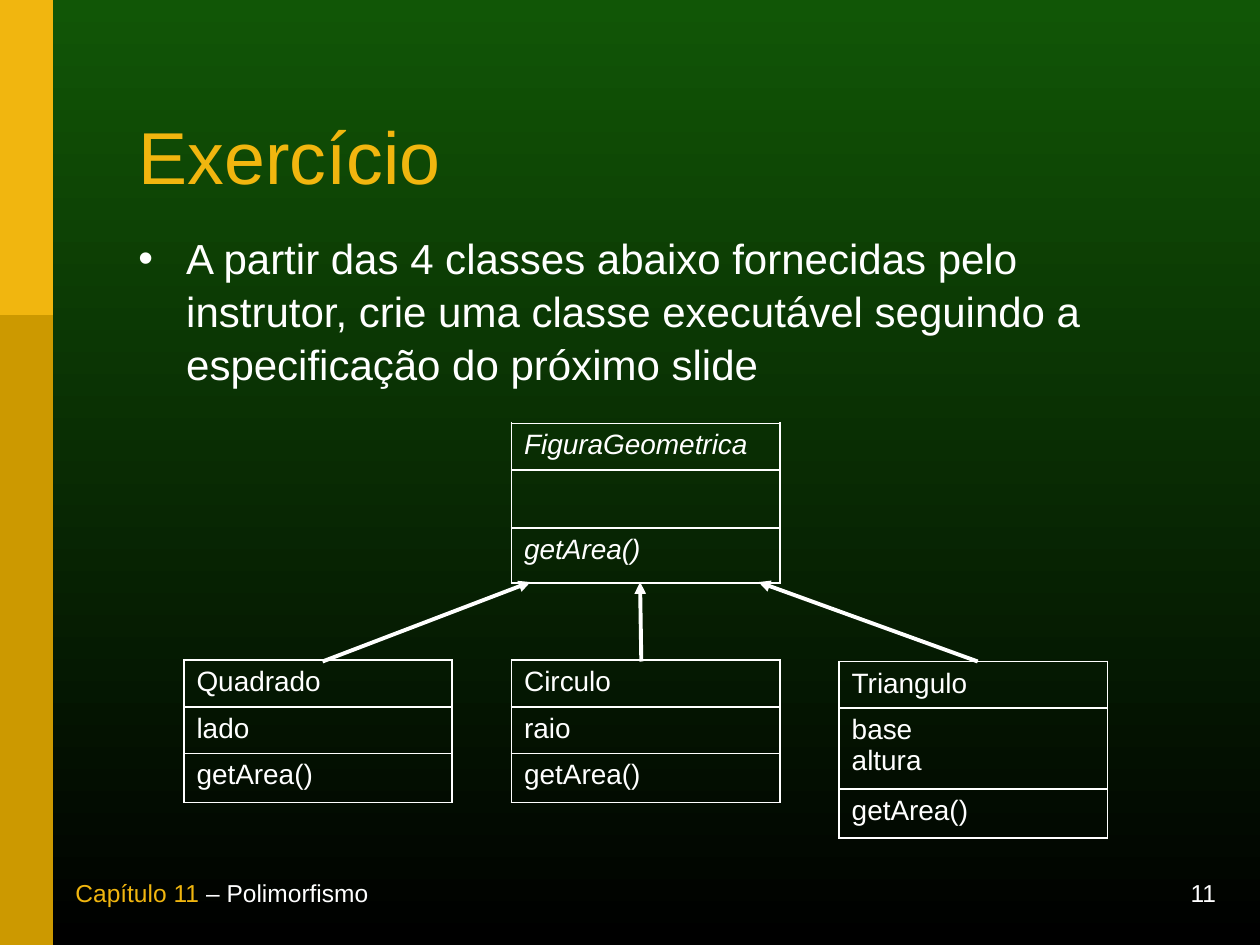
from lxml.etree import SubElement
from pptx import Presentation
from pptx.dml.color import RGBColor
from pptx.enum.shapes import MSO_CONNECTOR, MSO_SHAPE
from pptx.enum.text import MSO_ANCHOR, PP_ALIGN
from pptx.oxml import parse_xml
from pptx.oxml.ns import nsdecls, qn
from pptx.util import Inches, Pt

GREEN = RGBColor(0x11, 0x56, 0x06)
BLACK = RGBColor(0, 0, 0)
GOLD = RGBColor(0xF1, 0xB6, 0x0F)
OCHRE = RGBColor(0xCC, 0x99, 0x00)
WHITE = RGBColor(0xFF, 0xFF, 0xFF)
FONT = "Arial"
SLIDE_WIDTH, SLIDE_HEIGHT = 10, 7.5

# Content
TITLE = "Exercício"
TASK = ("A partir das 4 classes abaixo fornecidas pelo instrutor, crie uma "
        "classe executável seguindo a especificação do próximo slide")
CHAPTER = [("Capítulo 11", GOLD), (" – Polimorfismo", WHITE)]
PAGE_NUMBER = [("11", WHITE)]

# Class diagram: column, top, italic, then (lines, height) for each compartment
CLASS_WIDTH = 2.13
FIRST_COLUMN, COLUMN_STEP = 1.46, 2.6
CLASSES = [
    (1, 3.36, True, [(["FiguraGeometrica"], 0.37), ([""], 0.46), (["getArea()"], 0.44)]),
    (0, 5.24, False, [(["Quadrado"], 0.37), (["lado"], 0.37), (["getArea()"], 0.39)]),
    (2, 5.25, False, [(["Triangulo"], 0.37), (["base", "altura"], 0.64), (["getArea()"], 0.39)]),
    (1, 5.24, False, [(["Circulo"], 0.37), (["raio"], 0.37), (["getArea()"], 0.39)]),
]
ARROW_TIP_Y, ARROW_START_Y = 4.62, 5.25
ARROWS = [(7.76, 6.02), (2.56, 4.21), (5.09, 5.08)]  # start x, tip x


def add_run(paragraph, text, size, color, italic=None):
    run = paragraph.add_run()
    run.text = text
    font = run.font
    font.name, font.size, font.italic = FONT, Pt(size), italic
    font.color.rgb = color


def add_text_box(slide, left, top, width, height, anchor):
    box = slide.shapes.add_textbox(Inches(left), Inches(top), Inches(width), Inches(height))
    box.text_frame.word_wrap = True
    box.text_frame.vertical_anchor = anchor
    return box.text_frame.paragraphs[0]


def add_bar(slide, height, color):
    bar = slide.shapes.add_shape(MSO_SHAPE.RECTANGLE, 0, 0, Inches(0.42), Inches(height))
    bar.shadow.inherit = False
    bar.fill.solid()
    bar.fill.fore_color.rgb = color
    bar.line.fill.background()


def add_borders(cell):
    properties = cell._tc.get_or_add_tcPr()
    for index, side in enumerate(("lnL", "lnR", "lnT", "lnB")):
        properties.insert(index, parse_xml(
            f'<a:{side} {nsdecls("a")} w="{Pt(1.08)}"><a:solidFill>'
            f'<a:srgbClr val="{WHITE}"/></a:solidFill></a:{side}>'))


def add_class(slide, column, top, italic, compartments):
    left = FIRST_COLUMN + column * COLUMN_STEP
    total = sum(height for _, height in compartments)
    table = slide.shapes.add_table(len(compartments), 1, Inches(left), Inches(top),
                                   Inches(CLASS_WIDTH), Inches(total)).table
    table.first_row = table.horz_banding = False
    for row, (lines, height) in enumerate(compartments):
        table.rows[row].height = Inches(height)
        cell = table.cell(row, 0)
        cell.fill.background()
        add_borders(cell)
        for number, line in enumerate(lines):
            frame = cell.text_frame
            paragraph = frame.add_paragraph() if number else frame.paragraphs[0]
            paragraph.font.size = Pt(16)
            if line:
                add_run(paragraph, line, 16, WHITE, italic)


def add_arrow(slide, start_x, tip_x):
    arrow = slide.shapes.add_connector(MSO_CONNECTOR.STRAIGHT, Inches(start_x),
                                       Inches(ARROW_START_Y), Inches(tip_x), Inches(ARROW_TIP_Y))
    arrow.line.color.rgb = WHITE
    arrow.line.width = Pt(2.25)
    SubElement(arrow.line._get_or_add_ln(), qn("a:tailEnd"), type="triangle")
    SubElement(arrow._element.spPr, qn("a:effectLst"))


def main():
    presentation = Presentation()
    presentation.slide_width = Inches(SLIDE_WIDTH)
    presentation.slide_height = Inches(SLIDE_HEIGHT)
    slide = presentation.slides.add_slide(presentation.slide_layouts[5])

    # Background and side bars
    background = slide.background.fill
    background.gradient()
    background.gradient_angle = 270
    for stop, color in zip(background.gradient_stops, (GREEN, BLACK)):
        stop.color.rgb = color
    add_bar(slide, SLIDE_HEIGHT, OCHRE)
    add_bar(slide, SLIDE_HEIGHT / 3, GOLD)

    # Footer
    for left, width, alignment, parts in ((7.25, 2.5, PP_ALIGN.RIGHT, PAGE_NUMBER),
                                          (0.5, 4.42, PP_ALIGN.LEFT, CHAPTER)):
        paragraph = add_text_box(slide, left, 7, width, 0.25, MSO_ANCHOR.BOTTOM)
        paragraph.alignment = alignment
        for text, color in parts:
            add_run(paragraph, text, 14, color)

    # Title
    title = slide.shapes.title
    title.left, title.top = Inches(1), Inches(0.64)
    title.width, title.height = Inches(8.24), Inches(1.29)
    title.text_frame.vertical_anchor = MSO_ANCHOR.MIDDLE
    paragraph = title.text_frame.paragraphs[0]
    paragraph.alignment = PP_ALIGN.LEFT
    paragraph.line_spacing = 0.85
    add_run(paragraph, TITLE, 42, GOLD)

    # Task bullet
    paragraph = add_text_box(slide, 1, 1.78, 8.1, 1.34, MSO_ANCHOR.TOP)
    properties = paragraph._p.get_or_add_pPr()
    properties.set("marL", str(Inches(0.38)))
    properties.set("indent", str(-Inches(0.38)))
    SubElement(SubElement(properties, qn("a:buClr")), qn("a:srgbClr"), val=str(WHITE))
    SubElement(properties, qn("a:buFont"), typeface=FONT)
    SubElement(properties, qn("a:buChar"), char="•")
    paragraph.line_spacing = 1.05
    add_run(paragraph, TASK, 24, WHITE)

    # Class diagram
    for diagram_class in CLASSES:
        add_class(slide, *diagram_class)
    for start_x, tip_x in ARROWS:
        add_arrow(slide, start_x, tip_x)

    presentation.save("out.pptx")


if __name__ == "__main__":
    main()
